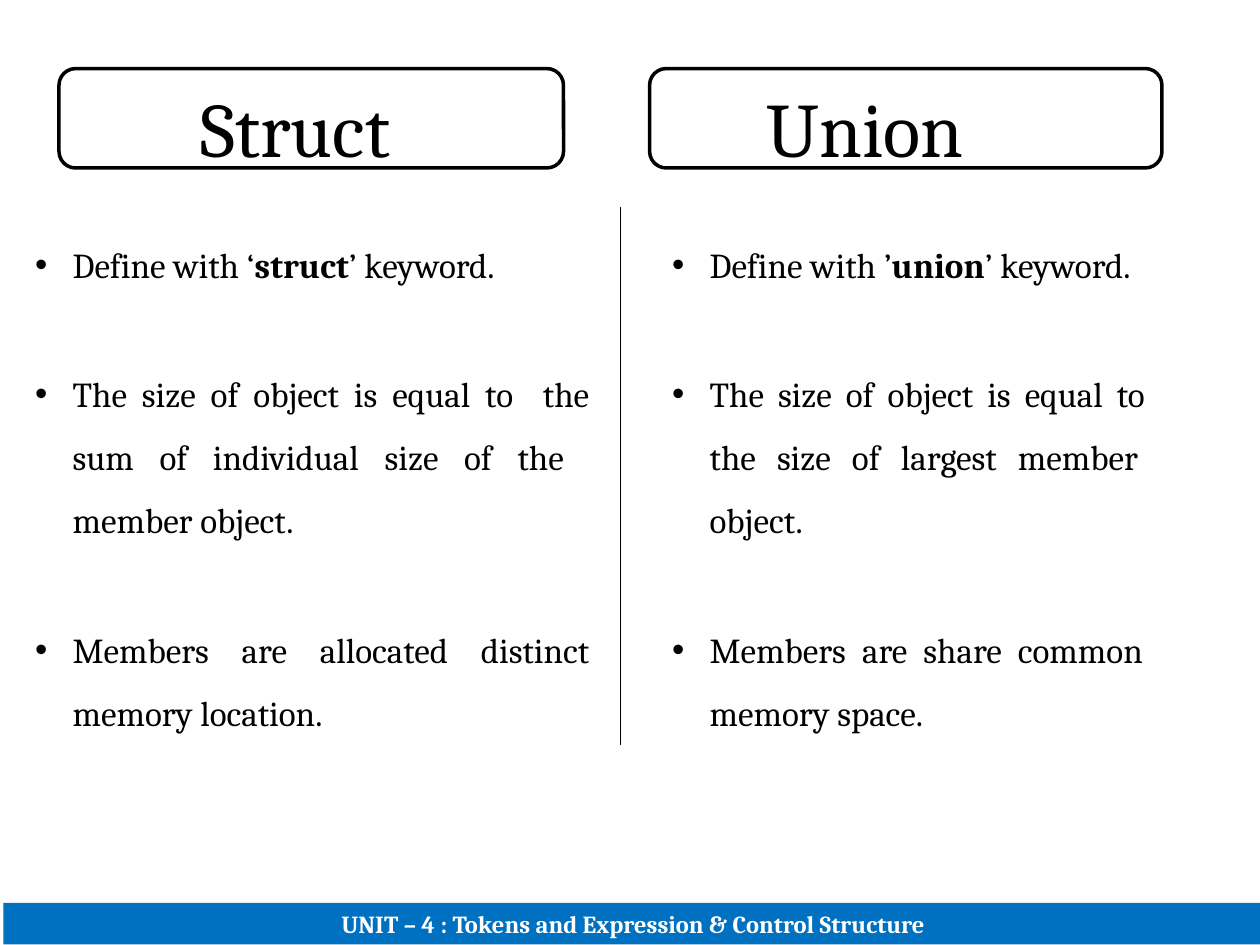
from pptx import Presentation
from pptx.dml.color import RGBColor
from pptx.enum.shapes import MSO_CONNECTOR as CONN, MSO_SHAPE as SHAPE
from pptx.enum.text import MSO_ANCHOR as ANCHOR, MSO_AUTO_SIZE as FIT, PP_ALIGN as ALIGN
from pptx.oxml.ns import qn
from pptx.util import Pt
from lxml.etree import SubElement

FONT = "Cambria"
BLACK, WHITE, BLUE = "000000", "FFFFFF", "0070C0"


def rgb(code):
    return RGBColor.from_string(code)


def place(sp, x, y, w, h):
    sp.left, sp.top, sp.width, sp.height = Pt(x), Pt(y), Pt(w), Pt(h)


def set_frame(tf, anchor=ANCHOR.TOP, top=1):
    tf.word_wrap, tf.auto_size, tf.vertical_anchor = True, FIT.NONE, anchor
    tf.margin_left = tf.margin_right = tf.margin_bottom = 0
    tf.margin_top = Pt(top)


def add_text(p, text, size=20, bold=False, color=BLACK):
    r = p.add_run()
    r.text = text
    r.font.name, r.font.size, r.font.bold = FONT, Pt(size), bold
    r.font.color.rgb = rgb(color)


def add_box(slide, kind, x, y, w, h, fill, line=None):
    sp = slide.shapes.add_shape(kind, Pt(x), Pt(y), Pt(w), Pt(h))
    sp.shadow.inherit = False
    sp.fill.solid()
    sp.fill.fore_color.rgb = rgb(fill)
    if line:
        sp.line.color.rgb = rgb(line)
        sp.line.width = Pt(2)
    else:
        sp.line.fill.background()
    return sp


def heading(slide, sp, text, x, y, w, h, inset):
    """Rounded frame with its heading in front."""
    add_box(slide, SHAPE.ROUNDED_RECTANGLE, x, y, w, h, WHITE, BLACK)
    slide.shapes._spTree.append(sp._element)
    place(sp, x + inset, y + 6, 180, 54)
    set_frame(sp.text_frame)
    p = sp.text_frame.paragraphs[0]
    p.alignment, p.space_before = ALIGN.LEFT, Pt(1)
    add_text(p, text, size=44)


def bullet_list(sp, items, x, y, w, h):
    """Justified bullets; each item is a list of (text, bold) runs."""
    place(sp, x, y, w, h)
    tf = sp.text_frame
    set_frame(tf)
    for i, runs in enumerate(items):
        p = tf.add_paragraph() if i else tf.paragraphs[0]
        p.alignment, p.line_spacing = ALIGN.JUSTIFY, 1.5
        p.space_before = Pt(38 if i else 1)
        pPr = p._p.get_or_add_pPr()
        pPr.set("marL", str(Pt(22.5)))
        pPr.set("indent", str(Pt(-21.5)))
        SubElement(pPr, qn("a:buChar"), char="•")
        for text, bold in runs:
            add_text(p, text, bold=bold)


def divider(slide, x, top, bottom):
    line = slide.shapes.add_connector(CONN.STRAIGHT, Pt(x), Pt(top), Pt(x), Pt(bottom))
    line.line.color.rgb = rgb(BLACK)
    line.line.width = Pt(0.75)
    SubElement(line._element.spPr, qn("a:effectLst"))


def footer_bar(slide, text, x, y, w, h):
    sp = add_box(slide, SHAPE.RECTANGLE, x, y, w, h, BLUE)
    set_frame(sp.text_frame, ANCHOR.BOTTOM, top=3.6)
    sp.text_frame.margin_bottom = Pt(3.6)
    p = sp.text_frame.paragraphs[0]
    p.alignment = ALIGN.CENTER
    add_text(p, text, size=14, bold=True, color=WHITE)


prs = Presentation()
prs.slide_width, prs.slide_height = Pt(720), Pt(540)
slide = prs.slides.add_slide(prs.slide_layouts[3])
title, struct_body, union_body = slide.placeholders

# Bullet columns
bullet_list(struct_body, [
    [("Define with ‘", False), ("struct", True), ("’ keyword.", False)],
    [("The size of object is equal to  the sum of individual size of the  member object.", False)],
    [("Members are allocated distinct memory location.", False)],
], 19, 126, 318, 296)
bullet_list(union_body, [
    [("Define with ’", False), ("union", True), ("’ keyword.", False)],
    [("The size of object is equal to  the size of largest member  object.", False)],
    [("Members are share common  memory space.", False)],
], 383, 126, 279.5, 296)

# Headings
heading(slide, title, "Struct", 33.7, 39.2, 288.3, 56.8, inset=80.8)
union_title = slide.shapes.add_textbox(0, 0, 0, 0)
heading(slide, union_title, "Union", 371.2, 39.2, 292.8, 56.8, inset=67)

# Divider and footer
divider(slide, 354.4, 118.3, 426)
footer_bar(slide, "UNIT – 4 : Tokens and Expression & Control Structure", 2, 516, 720, 23.7)

prs.save("out.pptx")
